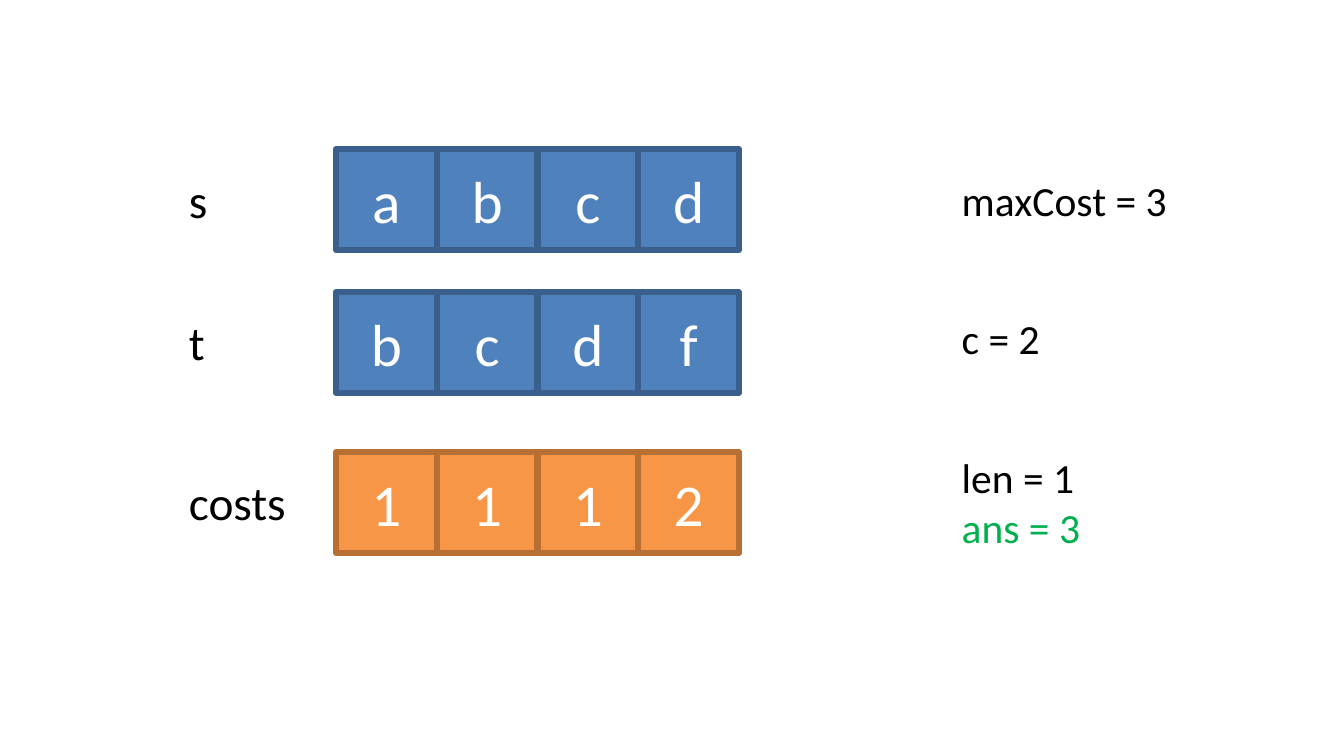
from pptx import Presentation
from pptx.dml.color import RGBColor
from pptx.enum.shapes import MSO_SHAPE as Shape
from pptx.enum.text import MSO_ANCHOR as Anchor, MSO_AUTO_SIZE as AutoSize, PP_ALIGN as Align
from pptx.util import Inches, Pt

BLUE = ("4F81BD", "3A5F8C")
ORANGE = ("F79646", "B76F34")
BLACK, WHITE, GREEN = "000000", "FFFFFF", "00B050"

ROWS = [
    ("s", "abcd", 0.7, BLUE),
    ("t", "bcdf", 1.37, BLUE),
    ("costs", "1112", 2.12, ORANGE),
]
STATE = [
    (0.77, 0.34, [("maxCost = 3", BLACK)]),
    (1.42, 0.34, [("c = 2", BLACK)]),
    (2.07, 0.57, [("len = 1", BLACK), ("ans = 3", GREEN)]),
]
PAGE_WIDTH = 6.3
PAGE_HEIGHT = PAGE_WIDTH * 9 / 16
CELL_LEFT = PAGE_WIDTH / 4
CELL = CELL_LEFT * 0.3
LABEL_LEFT, LABEL_WIDTH, LABEL_HEIGHT = PAGE_WIDTH / 8, 0.71, 0.37
STATE_LEFT, STATE_WIDTH = 4.41, 1.26


def color(value):
    return RGBColor.from_string(value)


def set_all(target, values):
    for name, value in values.items():
        setattr(target, name, value)


def write(box, lines, size, frame_format, align=Align.LEFT):
    frame = box.text_frame
    set_all(frame, {"word_wrap": True, **frame_format})
    for index, (text, ink) in enumerate(lines):
        para = frame.add_paragraph() if index else frame.paragraphs[0]
        para.alignment = align
        span = para.add_run()
        span.text = text
        set_all(span.font, {"name": "Calibri", "size": Pt(size)})
        span.font.color.rgb = color(ink)


def add_cell(page, text, left, top, fill, line):
    cell = page.shapes.add_shape(Shape.RECTANGLE, *map(Inches, (left, top, CELL, CELL)))
    cell.shadow.inherit = False
    cell.fill.solid()
    cell.fill.fore_color.rgb = color(fill)
    cell.line.color.rgb = color(line)
    cell.line.width = Pt(2)
    write(cell, [(text, WHITE)], 20, {"vertical_anchor": Anchor.MIDDLE}, Align.CENTER)


def add_text(page, lines, size, *bounds):
    box = page.shapes.add_textbox(*map(Inches, bounds))
    write(box, lines, size, {"auto_size": AutoSize.SHAPE_TO_FIT_TEXT})


def main():
    deck = Presentation()
    deck.slide_width = Inches(PAGE_WIDTH)
    deck.slide_height = Inches(PAGE_HEIGHT)
    page = deck.slides.add_slide(deck.slide_layouts[6])
    for label, values, top, (fill, line) in ROWS:
        for column, value in enumerate(values):
            add_cell(page, value, CELL_LEFT + column * CELL, top, fill, line)
        label_top = top + (CELL - LABEL_HEIGHT) / 2
        add_text(page, [(label, BLACK)], 16, LABEL_LEFT, label_top, LABEL_WIDTH, LABEL_HEIGHT)
    for top, height, lines in STATE:
        add_text(page, lines, 14, STATE_LEFT, top, STATE_WIDTH, height)
    deck.save("out.pptx")


if __name__ == "__main__":
    main()
